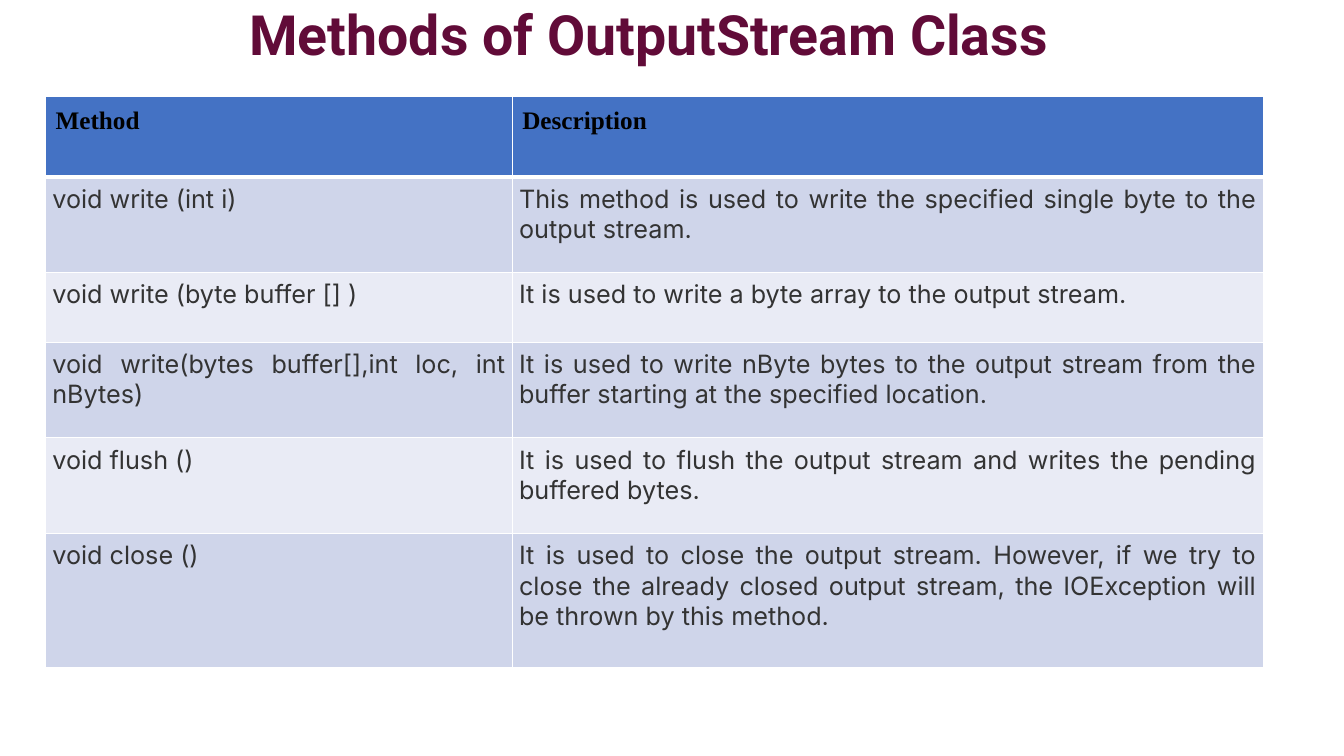
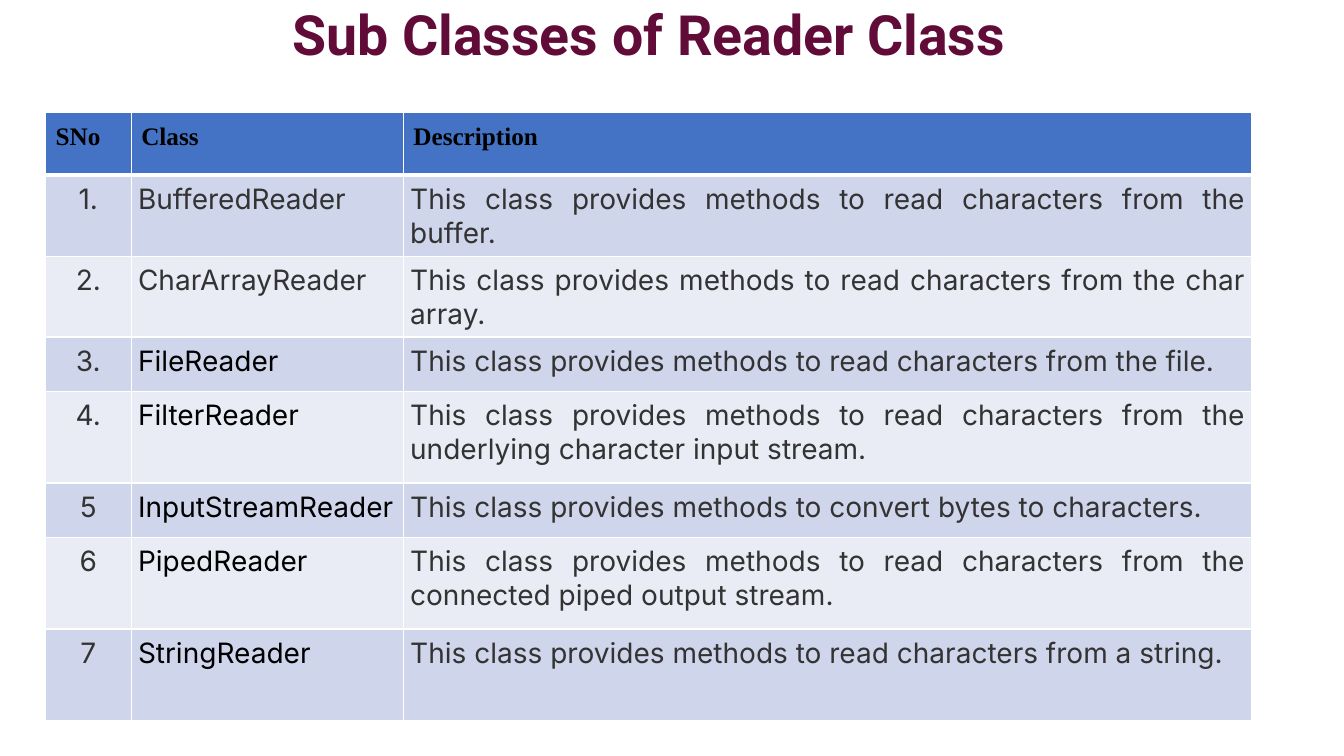
"""Build two slides of Java stream class tables."""
from lxml.etree import SubElement
from pptx import Presentation
from pptx.dml.color import RGBColor
from pptx.enum.text import MSO_ANCHOR, PP_ALIGN
from pptx.oxml.ns import qn
from pptx.util import Pt

COLORS = {
    "title": "610B38",
    "header": "4472C4",
    "odd": "CFD5EA",
    "even": "E9EBF5",
    "border": "FFFFFF",
    "body": "333333",
    "strong": "000000",
}
LEFT = 32.5
TITLE_WIDTH, TITLE_HEIGHT = 862, 53.3
HEADER_INSET, BODY_INSET = 7.2, 4.9

SLIDES = [
    {
        "title": "Methods of OutputStream Class",
        "top": 69.1,
        "columns": [333.4, 536.4],
        "heights": [57.4, 68.3, 49.7, 68.3, 68.3, 95.6],
        "size": 18,
        "centered": [],
        "strong": [],
        "rows": [
            ("Method", "Description"),
            ("void write (int i)",
             "This method is used to write the specified single byte to the output stream."),
            ("void write (byte buffer [] )",
             "It is used to write a byte array to the output stream."),
            ("void write(bytes buffer[],int loc, int nBytes)",
             "It is used to write nByte bytes to the output stream from the buffer "
             "starting at the specified location."),
            ("void flush ()",
             "It is used to flush the output stream and writes the pending buffered bytes."),
            ("void close ()",
             "It is used to close the output stream. However, if we try to close the already "
             "closed output stream, the IOException will be thrown by this method."),
        ],
    },
    {
        "title": "Sub Classes of Reader Class",
        "top": 80.6,
        "columns": [61.2, 194.4, 606.2],
        "heights": [44.6, 38.7, 38.7, 38.7, 65.6, 38.7, 65.6, 65.6],
        "size": 20,
        "centered": [0],
        "strong": ["FileReader", "FilterReader", "InputStreamReader",
                   "PipedReader", "StringReader"],
        "rows": [
            ("SNo", "Class", "Description"),
            ("1.", "BufferedReader",
             "This class provides methods to read characters from the buffer."),
            ("2.", "CharArrayReader",
             "This class provides methods to read characters from the char array."),
            ("3.", "FileReader",
             "This class provides methods to read characters from the file."),
            ("4.", "FilterReader",
             "This class provides methods to read characters from the underlying "
             "character input stream."),
            ("5", "InputStreamReader",
             "This class provides methods to convert bytes to characters."),
            ("6", "PipedReader",
             "This class provides methods to read characters from the connected "
             "piped output stream."),
            ("7", "StringReader",
             "This class provides methods to read characters from a string."),
        ],
    },
]


def write(frame, text, *, size, font, color, bold=False, align=PP_ALIGN.LEFT, spacing=None):
    frame.word_wrap = True
    paragraph = frame.paragraphs[0]
    paragraph.alignment = align
    paragraph.line_spacing = spacing
    run = paragraph.add_run()
    run.text = text
    run.font.size = Pt(size)
    run.font.name = font
    run.font.bold = bold
    run.font.color.rgb = RGBColor.from_string(COLORS[color])


def add_title(slide, text):
    title = slide.shapes.add_textbox(Pt(LEFT), Pt(0), Pt(TITLE_WIDTH), Pt(TITLE_HEIGHT))
    title.text_frame.vertical_anchor = MSO_ANCHOR.MIDDLE
    write(title.text_frame, text, size=39.6, font="Roboto", color="title", bold=True,
          align=PP_ALIGN.CENTER, spacing=0.9)


def style_cell(cell, fill, inset, top, bottom):
    cell.margin_left = cell.margin_right = cell.margin_top = cell.margin_bottom = Pt(inset)
    properties = cell._tc.get_or_add_tcPr()
    for side, width in (("L", 1), ("R", 1), ("T", top), ("B", bottom)):
        line = SubElement(properties, qn(f"a:ln{side}"), w=str(Pt(width)))
        line_fill = SubElement(line, qn("a:solidFill"))
        SubElement(line_fill, qn("a:srgbClr"), val=COLORS["border"])
    cell.fill.solid()
    cell.fill.fore_color.rgb = RGBColor.from_string(COLORS[fill])


def add_class_table(slide, content):
    rows, columns, heights = content["rows"], content["columns"], content["heights"]
    table = slide.shapes.add_table(
        len(rows), len(columns), Pt(LEFT), Pt(content["top"]),
        Pt(sum(columns)), Pt(sum(heights))).table
    for column, width in zip(table.columns, columns):
        column.width = Pt(width)
    for r, (texts, height) in enumerate(zip(rows, heights)):
        table.rows[r].height = Pt(height)
        for c, text in enumerate(texts):
            cell = table.cell(r, c)
            if r == 0:
                style_cell(cell, "header", HEADER_INSET, top=1, bottom=3)
                write(cell.text_frame, text, size=18, font="Times New Roman",
                      color="strong", bold=True)
            else:
                style_cell(cell, "odd" if r % 2 else "even", BODY_INSET,
                           top=3 if r == 1 else 1, bottom=1)
                write(cell.text_frame, text, size=content["size"], font="Inter",
                      color="strong" if text in content["strong"] else "body",
                      align=PP_ALIGN.CENTER if c in content["centered"] else PP_ALIGN.JUSTIFY)


def main():
    deck = Presentation()
    deck.slide_width, deck.slide_height = Pt(960), Pt(540)
    for content in SLIDES:
        slide = deck.slides.add_slide(deck.slide_layouts[6])
        add_title(slide, content["title"])
        add_class_table(slide, content)
    deck.save("out.pptx")


if __name__ == "__main__":
    main()
